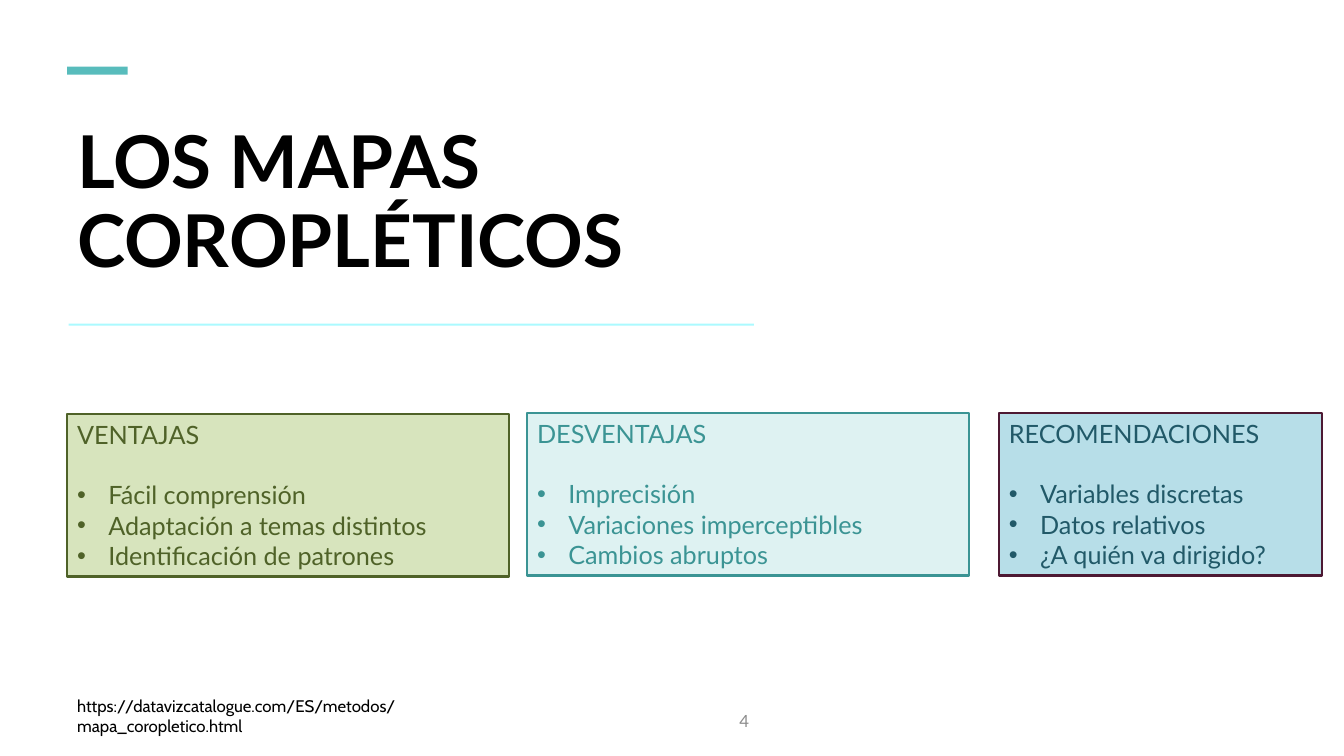
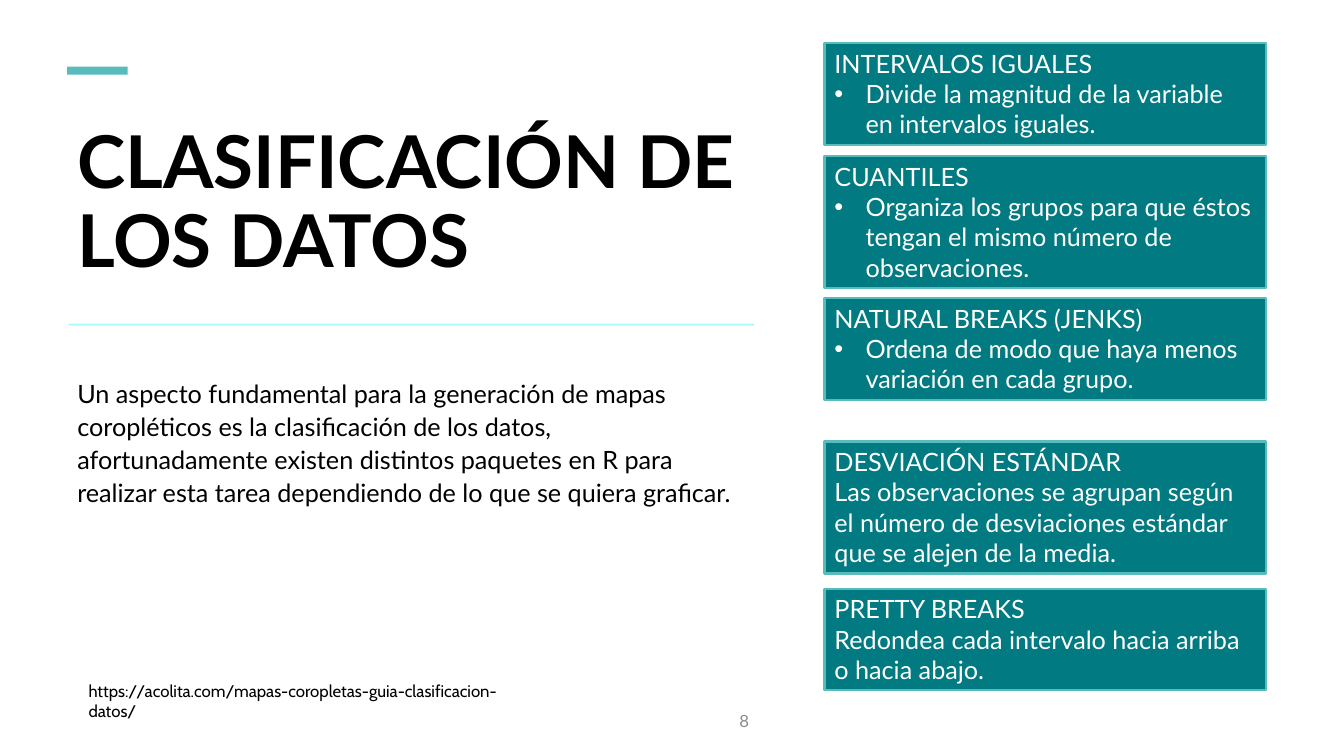
from lxml import etree
from pptx import Presentation
from pptx.dml.color import RGBColor
from pptx.enum.shapes import MSO_SHAPE
from pptx.enum.text import MSO_ANCHOR, MSO_AUTO_SIZE, PP_ALIGN
from pptx.oxml.ns import qn
from pptx.util import Inches, Pt

RECTANGLE = MSO_SHAPE.RECTANGLE
TOP, MIDDLE, BOTTOM = MSO_ANCHOR.TOP, MSO_ANCHOR.MIDDLE, MSO_ANCHOR.BOTTOM
LEFT, RIGHT = PP_ALIGN.LEFT, PP_ALIGN.RIGHT
NO_AUTOFIT = MSO_AUTO_SIZE.NONE

# Grid of 40 columns by 22.5 rows over the slide
SLIDE_WIDTH, SLIDE_HEIGHT = Inches(13.33), Inches(7.5)
COLUMN, ROW = SLIDE_WIDTH / 40, SLIDE_HEIGHT / 22.5
MARGIN = 2
CARD_WIDTH = 13.14
TEXT_LINE_ROWS, CARD_PADDING_ROWS = 0.9, 0.33
BULLET_INDENT = Inches(0.31)
BLANK_LINE = 21.6


def color(hex_value):
    return RGBColor.from_string(hex_value)


def card_height(lines):
    return lines * TEXT_LINE_ROWS + CARD_PADDING_ROWS


class Deck:
    font, source_font = "Lato", "Cabin"
    black, gray, white = "000000", "8C8C8C", "FFFFFF"
    accent, rule, teal = "58BCBC", "ABFAFF", "017A81"

    def __init__(self):
        self.presentation = Presentation()
        self.presentation.slide_width = SLIDE_WIDTH
        self.presentation.slide_height = SLIDE_HEIGHT
        self.slide = None

    def box(self, left, top, width, height):
        return (round(left * COLUMN), round(top * ROW),
                round(width * COLUMN), round(height * ROW))

    def place(self, shape, *grid):
        shape.left, shape.top, shape.width, shape.height = self.box(*grid)

    def frame(self, shape, anchor=TOP):
        frame = shape.text_frame
        frame.word_wrap = True
        frame.auto_size = NO_AUTOFIT
        frame.vertical_anchor = anchor
        return frame

    def style(self, paragraph, size, text_color, name=font, bold=False,
              align=LEFT, spacing=1.0, before=0):
        paragraph.alignment = align
        paragraph.line_spacing = spacing
        paragraph.space_before = Pt(before)
        font = paragraph.font
        font.name, font.size, font.bold = name, Pt(size), bold
        font.color.rgb = color(text_color)

    def bullet(self, paragraph, character=None):
        properties = paragraph._p.get_or_add_pPr()
        indent = BULLET_INDENT if character else 0
        properties.set("marL", str(indent))
        properties.set("indent", str(-indent))
        if character:
            etree.SubElement(properties, qn("a:buFont")).set("typeface", "Arial")
            etree.SubElement(properties, qn("a:buChar")).set("char", character)
        else:
            etree.SubElement(properties, qn("a:buNone"))

    def rectangle(self, grid, fill, line=None):
        shape = self.slide.shapes.add_shape(RECTANGLE, *self.box(*grid))
        shape.shadow.inherit = False
        shape.fill.solid()
        shape.fill.fore_color.rgb = color(fill)
        if line:
            shape.line.color.rgb = color(line)
            shape.line.width = Pt(1.5)
        else:
            shape.line.fill.background()
        return shape

    def new_slide(self, title, number, body=None):
        layout = self.presentation.slide_layouts[1 if body else 5]
        self.slide = self.presentation.slides.add_slide(layout)
        # Accent mark and rule below the title
        self.rectangle((MARGIN, 1.98, 1.8, 0.24), self.accent)
        self.rectangle((2.04, 9.63, 20.4, 0.06), self.rule)
        # Title
        shape = self.slide.shapes.title
        self.place(shape, MARGIN, 3.54, 20.58, 5.04)
        paragraph = self.frame(shape, BOTTOM).paragraphs[0]
        paragraph.text = title
        self.style(paragraph, 52, self.black, bold=True, spacing=0.9)
        # Body
        if body:
            shape = self.slide.placeholders[1]
            self.place(shape, MARGIN, 11.01, 20.58, 9.27)
            paragraph = self.frame(shape).paragraphs[0]
            paragraph.text = body
            self.bullet(paragraph)
            self.style(paragraph, 18, self.black, spacing=1.1)
        # Slide number
        self.label((18.39, 20.85, 4.2, 1.2), number, self.gray, self.font,
                   RIGHT, MIDDLE)

    def label(self, grid, text, text_color, name, align=LEFT, anchor=TOP):
        shape = self.slide.shapes.add_textbox(*self.box(*grid))
        paragraph = self.frame(shape, anchor).paragraphs[0]
        paragraph.text = text
        self.style(paragraph, 12, text_color, name, align=align)

    def source(self, left, top, width, address):
        self.label((left, top, width, 0.9), address, self.black, self.source_font)

    def card(self, grid, heading, items, colors, bulleted=True, gap=0):
        fill, line, text_color = colors
        frame = self.frame(self.rectangle(grid, fill, line))
        paragraph = frame.paragraphs[0]
        paragraph.text = heading
        self.style(paragraph, 18, text_color)
        for index, item in enumerate(items):
            paragraph = frame.add_paragraph()
            paragraph.text = item
            if bulleted:
                self.bullet(paragraph, "•")
            self.style(paragraph, 18, text_color, before=0 if index else gap)


def choropleth_slide(deck):
    deck.new_slide("LOS MAPAS COROPLÉTICOS", "4")
    deck.source(MARGIN, 20.55, 14.49,
                "https://datavizcatalogue.com/ES/metodos/mapa_coropletico.html")
    cards = [
        (MARGIN, 12.33, CARD_WIDTH, "VENTAJAS",
         ["Fácil comprensión", "Adaptación a temas distintos",
          "Identificación de patrones"], ("D7E4BD", "4F6228", "4F6228")),
        (15.69, 12.3, CARD_WIDTH, "DESVENTAJAS",
         ["Imprecisión", "Variaciones imperceptibles", "Cambios abruptos"],
         ("DEF2F2", "3B9494", "3B9494")),
        (29.73, 12.3, 9.63, "RECOMENDACIONES",
         ["Variables discretas", "Datos relativos", "¿A quién va dirigido?"],
         ("B7DEE8", "4D1933", "215968")),
    ]
    for left, top, width, heading, items, colors in cards:
        deck.card((left, top, width, card_height(5)), heading, items, colors,
                  gap=BLANK_LINE)


def classification_slide(deck):
    deck.new_slide(
        "CLASIFICACIÓN DE LOS DATOS", "8",
        "Un aspecto fundamental para la generación de mapas coropléticos es la "
        "clasificación de los datos, afortunadamente existen distintos paquetes "
        "en R para realizar esta tarea dependiendo de lo que se quiera graficar.")
    deck.source(2.34, 20.1, 13.83,
                "https://acolita.com/mapas-coropletas-guia-clasificacion-datos/")
    # Methods: top row, text lines, bulleted, heading, description
    methods = [
        (1.29, 3, True, "INTERVALOS IGUALES",
         "Divide la magnitud de la variable en intervalos iguales."),
        (4.65, 4, True, "CUANTILES",
         "Organiza los grupos para que éstos tengan el mismo número de "
         "observaciones."),
        (8.88, 3, True, "NATURAL BREAKS (JENKS)",
         "Ordena de modo que haya menos variación en cada grupo."),
        (13.14, 4, False, "DESVIACIÓN ESTÁNDAR",
         "Las observaciones se agrupan según el número de desviaciones estándar "
         "que se alejen de la media."),
        (17.52, 3, False, "PRETTY BREAKS",
         "Redondea cada intervalo hacia arriba o hacia abajo."),
    ]
    for top, lines, bulleted, heading, description in methods:
        deck.card((24.54, top, CARD_WIDTH, card_height(lines)), heading,
                  [description], (deck.teal, deck.accent, deck.white), bulleted)


def main():
    deck = Deck()
    choropleth_slide(deck)
    classification_slide(deck)
    deck.presentation.save("out.pptx")


if __name__ == "__main__":
    main()
